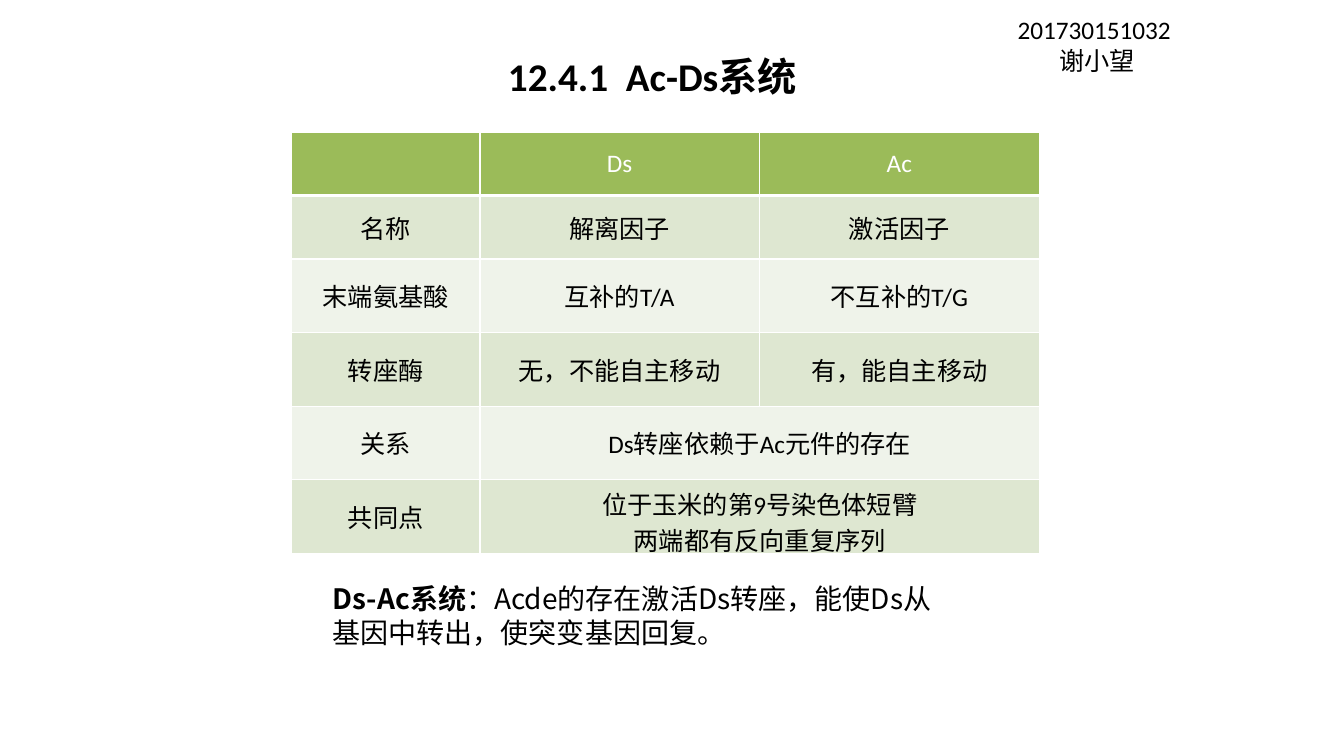
from lxml.etree import SubElement
from pptx import Presentation
from pptx.dml.color import RGBColor
from pptx.enum.text import MSO_ANCHOR, PP_ALIGN
from pptx.oxml.ns import qn
from pptx.util import Inches, Pt

LATIN, CJK = "Calibri", "Noto Sans CJK SC"
BLACK, WHITE = "000000", "FFFFFF"
HEADER_GREEN, BAND_GREEN, PALE_GREEN = "9BBB59", "DEE7D1", "EFF3EA"

COLUMN_WIDTHS = [1.87, 2.77, 2.78]
ROW_HEIGHTS = [0.63, 0.63, 0.73, 0.73, 0.73, 0.73]
# A row with two entries has its second one spanning the last two columns
COMPARISON = [
    ["", "Ds", "Ac"],
    ["名称", "解离因子", "激活因子"],
    ["末端氨基酸", "互补的T/A", "不互补的T/G"],
    ["转座酶", "无，不能自主移动", "有，能自主移动"],
    ["关系", "Ds转座依赖于Ac元件的存在"],
    ["共同点", "位于玉米的第9号染色体短臂\n两端都有反向重复序列"],
]


def rgb(value):
    return RGBColor.from_string(value)


def add_run(paragraph, text, size, color=BLACK, name=LATIN, bold=False):
    run = paragraph.add_run()
    run.text = text
    for attribute, value in {"size": Pt(size), "name": name, "bold": bold}.items():
        setattr(run.font, attribute, value)
    run.font.color.rgb = rgb(color)
    SubElement(run.font._element, qn("a:ea"), typeface=CJK)


def add_lines(frame, lines, align=PP_ALIGN.LEFT, spacing=None):
    """Each line is a list of (text, format) pairs."""
    frame.word_wrap = True
    for index, parts in enumerate(lines):
        paragraph = frame.add_paragraph() if index else frame.paragraphs[0]
        paragraph.alignment = align
        if spacing:
            paragraph.line_spacing = Pt(spacing)
        for text, style in parts:
            add_run(paragraph, text, **style)


def add_text(slide, box, lines, anchor=MSO_ANCHOR.TOP, **layout):
    frame = slide.shapes.add_textbox(*map(Inches, box)).text_frame
    frame.vertical_anchor = anchor
    add_lines(frame, lines, **layout)


def set_borders(cell, bottom_width):
    widths = {"lnL": 1, "lnR": 1, "lnT": 1, "lnB": bottom_width}
    for side, width in widths.items():
        line = SubElement(cell._tc.get_or_add_tcPr(), qn("a:" + side), w=str(Pt(width)))
        SubElement(SubElement(line, qn("a:solidFill")), qn("a:srgbClr"), val=WHITE)


def add_comparison(slide, box):
    table = slide.shapes.add_table(
        len(ROW_HEIGHTS), len(COLUMN_WIDTHS), *map(Inches, box)).table
    table.horz_banding = False
    for column, width in zip(table.columns, COLUMN_WIDTHS):
        column.width = Inches(width)
    for row, height in zip(table.rows, ROW_HEIGHTS):
        row.height = Inches(height)

    for index, entries in enumerate(COMPARISON):
        is_header = index == 0
        band = HEADER_GREEN if is_header else (PALE_GREEN, BAND_GREEN)[index % 2]
        # Band fill and white grid
        for column in range(len(COLUMN_WIDTHS)):
            cell = table.cell(index, column)
            set_borders(cell, 3 if is_header else 1)
            cell.fill.solid()
            cell.fill.fore_color.rgb = rgb(band)
            cell.vertical_anchor = MSO_ANCHOR.MIDDLE
        if len(entries) == 2:
            table.cell(index, 1).merge(table.cell(index, 2))
        # Wording
        style = {"size": 18, "color": WHITE if is_header else BLACK}
        for column, entry in enumerate(entries):
            if entry:
                lines = [[(line, style)] for line in entry.split("\n")]
                add_lines(table.cell(index, column).text_frame, lines, PP_ALIGN.CENTER)


def add_title(slide, box):
    add_text(slide, box, [[("12.4.1  Ac-Ds系统", {"size": 28, "bold": True})]],
             anchor=MSO_ANCHOR.MIDDLE, align=PP_ALIGN.CENTER)


def add_summary(slide, box):
    style = {"size": 20, "name": CJK}
    add_text(slide, box, [[
        ("Ds-Ac系统", {**style, "bold": True}),
        ("：Acde的存在激活Ds转座，能使Ds从基因中转出，使突变基因回复。", style),
    ]], spacing=24)


def add_author(slide, box):
    lines = [[(line, {"size": 18})] for line in ("201730151032 ", "谢小望")]
    add_text(slide, box, lines, align=PP_ALIGN.CENTER, spacing=22)


def main():
    deck = Presentation()
    deck.slide_width, deck.slide_height = Inches(13.33), Inches(7.5)
    slide = deck.slides.add_slide(deck.slide_layouts[6])
    add_title(slide, (4.62, 0.44, 3.7, 0.63))
    add_comparison(slide, (2.89, 1.31, sum(COLUMN_WIDTHS), sum(ROW_HEIGHTS)))
    add_summary(slide, (3.2, 5.72, 6.22, 0.77))
    add_author(slide, (9.74, 0.09, 2.28, 0.71))
    deck.save("out.pptx")


if __name__ == "__main__":
    main()
